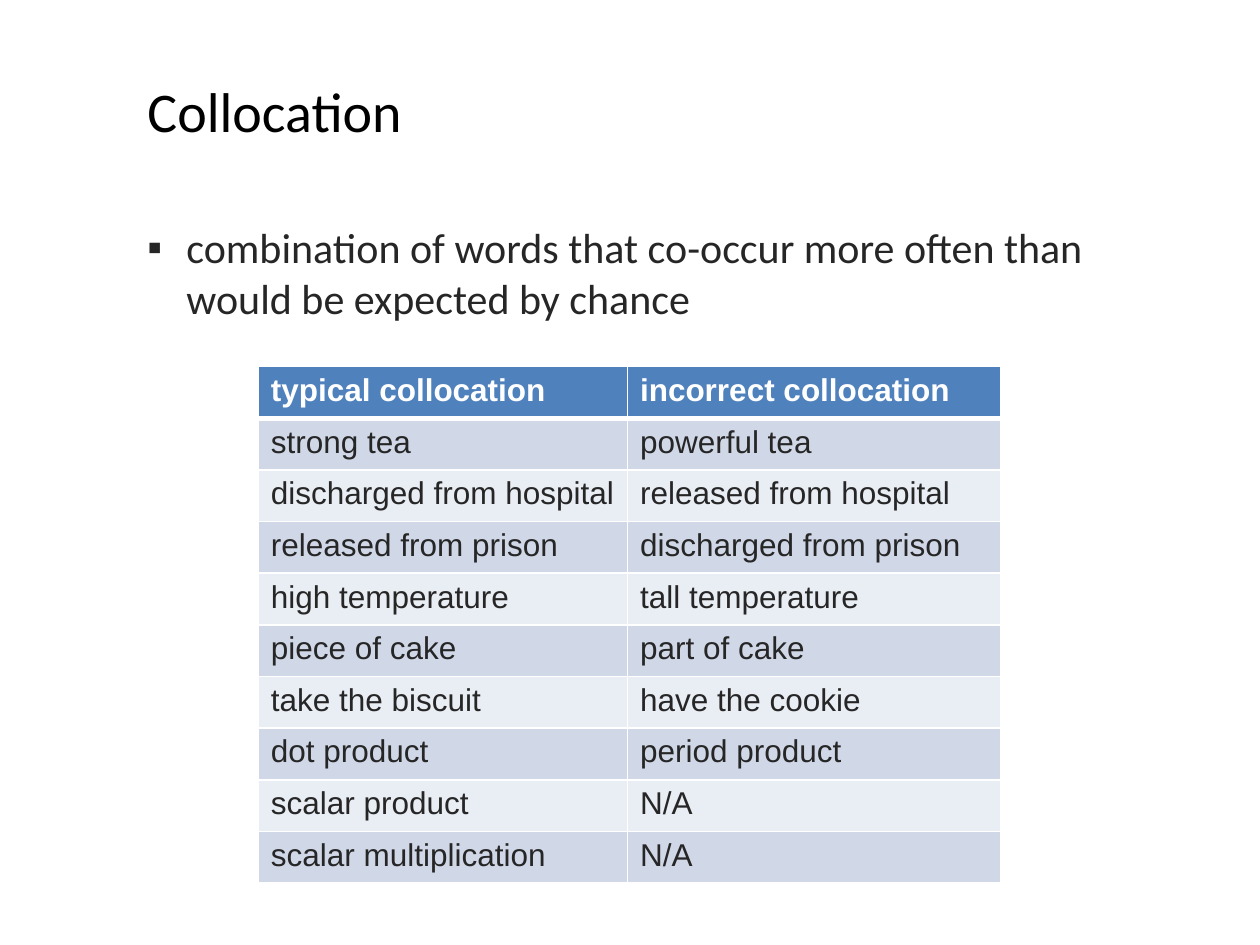
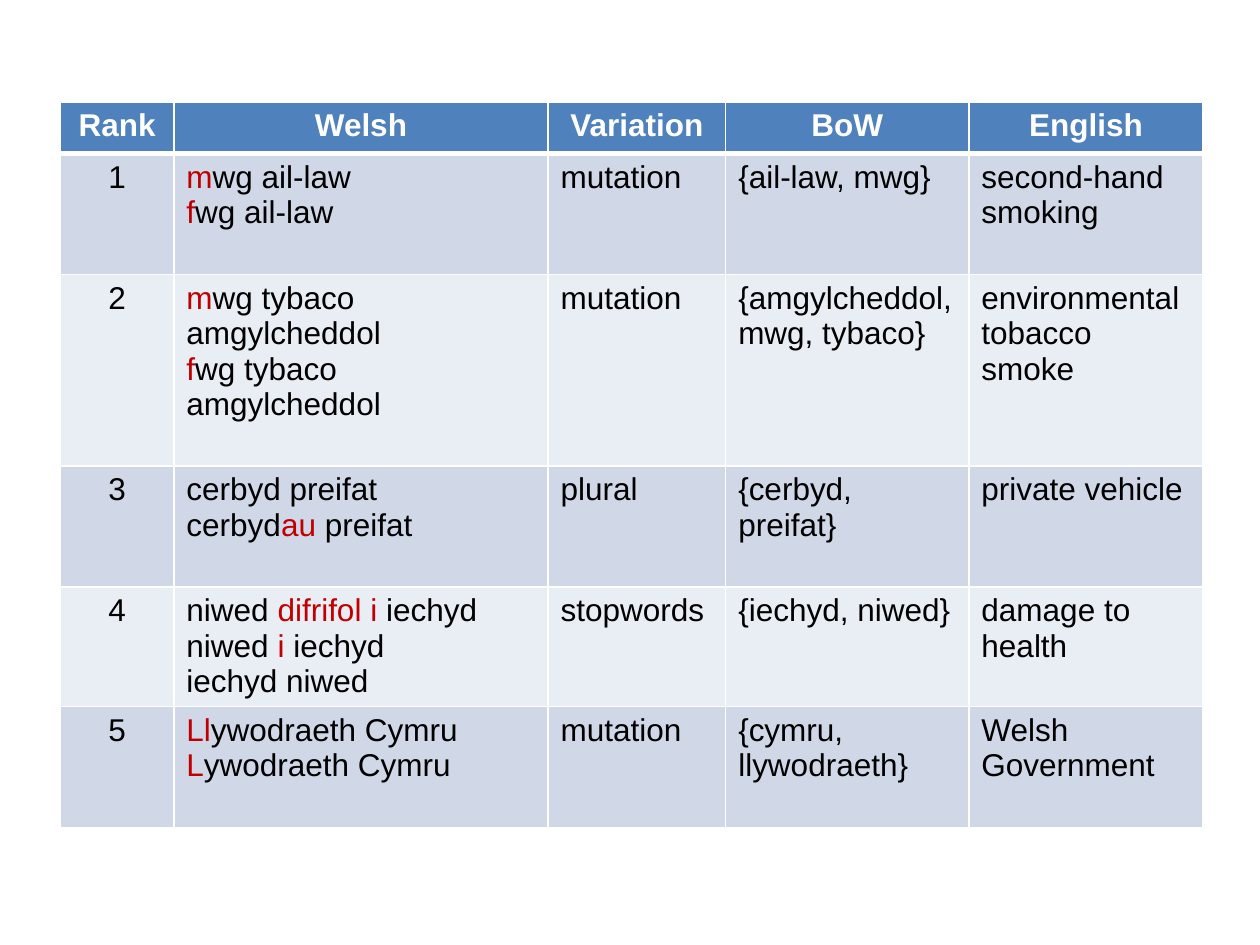
from dataclasses import dataclass

from lxml import etree
from pptx import Presentation
from pptx.dml.color import RGBColor
from pptx.enum.text import MSO_ANCHOR, PP_ALIGN
from pptx.oxml.ns import qn
from pptx.util import Inches, Pt

LEFT, CENTER = PP_ALIGN.LEFT, PP_ALIGN.CENTER
MIDDLE = MSO_ANCHOR.MIDDLE
TITLE_AND_CONTENT, BLANK = 1, 6


@dataclass(frozen=True)
class Theme:
    head_font: str = "Calibri"
    table_font: str = "Arial"
    title_size: int = 32
    body_size: int = 24
    table_size: int = 18
    black: str = "000000"
    dark: str = "262626"
    white: str = "FFFFFF"
    accent: str = "C00000"
    header: str = "4F81BD"
    bands: tuple = ("D0D8E8", "E9EDF4")
    rule: int = 1
    header_rule: int = 3


THEME = Theme()
ROW_HEIGHT = 0.41

COLLOCATIONS = [
    ("typical collocation", "incorrect collocation"),
    ("strong tea", "powerful tea"),
    ("discharged from hospital", "released from hospital"),
    ("released from prison", "discharged from prison"),
    ("high temperature", "tall temperature"),
    ("piece of cake", "part of cake"),
    ("take the biscuit", "have the cookie"),
    ("dot product", "period product"),
    ("scalar product", "N/A"),
    ("scalar multiplication", "N/A"),
]

# Asterisks enclose the letters that vary between the forms of a term
WELSH_TERMS = [
    ("Rank", "Welsh", "Variation", "BoW", "English"),
    ("1", "*m*wg ail-law\n*f*wg ail-law", "mutation",
     "{ail-law, mwg}", "second-hand smoking"),
    ("2", "*m*wg tybaco amgylcheddol\n*f*wg tybaco amgylcheddol", "mutation",
     "{amgylcheddol, mwg, tybaco}", "environmental tobacco smoke"),
    ("3", "cerbyd preifat\ncerbyd*au *preifat", "plural",
     "{cerbyd, preifat}", "private vehicle"),
    ("4", "niwed *difrifol i *iechyd\nniwed *i *iechyd\niechyd niwed", "stopwords",
     "{iechyd, niwed}", "damage to health"),
    ("5", "*Ll*ywodraeth Cymru\n*L*ywodraeth Cymru", "mutation",
     "{cymru, llywodraeth}", "Welsh Government"),
]


def write(tf, text, *, font, size, color, bold=False, align=LEFT):
    """Fill a text frame: one paragraph a line, *marked* parts in the accent."""
    for i, line in enumerate(text.split("\n")):
        p = tf.paragraphs[0] if i == 0 else tf.add_paragraph()
        p.alignment = align
        for j, part in enumerate(line.split("*")):
            if not part:
                continue
            r = p.add_run()
            r.text = part
            r.font.name, r.font.size, r.font.bold = font, Pt(size), bold
            r.font.color.rgb = RGBColor.from_string(THEME.accent if j % 2 else color)


def place(sp, box):
    sp.left, sp.top, sp.width, sp.height = map(Inches, box)


def set_bullet(p, char, indent):
    pPr = p._p.get_or_add_pPr()
    pPr.set("marL", str(Inches(indent)))
    pPr.set("indent", str(-Inches(indent)))
    etree.SubElement(pPr, qn("a:buFont"), typeface="Arial")
    etree.SubElement(pPr, qn("a:buChar"), char=char)


def set_borders(cell, top, bottom):
    tcPr = cell._tc.get_or_add_tcPr()
    widths = {"L": THEME.rule, "R": THEME.rule, "T": top, "B": bottom}
    for side, width in widths.items():
        ln = etree.SubElement(tcPr, qn(f"a:ln{side}"), w=str(Pt(width)))
        fill = etree.SubElement(ln, qn("a:solidFill"))
        etree.SubElement(fill, qn("a:srgbClr"), val=THEME.white)


def add_title(slide, text, box):
    sp = slide.shapes.title
    place(sp, box)
    sp.text_frame.vertical_anchor = MIDDLE
    write(sp.text_frame, text, font=THEME.head_font, size=THEME.title_size,
          color=THEME.black)


def add_body(slide, text, box):
    sp = slide.placeholders[1]
    place(sp, box)
    write(sp.text_frame, text, font=THEME.head_font, size=THEME.body_size,
          color=THEME.dark)
    for p in sp.text_frame.paragraphs:
        p.space_before = Pt(16)
        set_bullet(p, "▪", 0.31)


def add_banded_table(slide, rows, left, top, widths, heights, color,
                     header_align=LEFT, centered=()):
    box = map(Inches, (left, top, sum(widths), sum(heights)))
    table = slide.shapes.add_table(len(rows), len(widths), *box).table
    for col, width in zip(table.columns, widths):
        col.width = Inches(width)
    for i, (row, height, texts) in enumerate(zip(table.rows, heights, rows)):
        row.height = Inches(height)
        is_header = i == 0
        for j, (cell, text) in enumerate(zip(row.cells, texts)):
            set_borders(cell,
                        top=THEME.header_rule if i == 1 else THEME.rule,
                        bottom=THEME.header_rule if is_header else THEME.rule)
            fill = THEME.header if is_header else THEME.bands[(i - 1) % 2]
            cell.fill.solid()
            cell.fill.fore_color.rgb = RGBColor.from_string(fill)
            body_align = CENTER if j in centered else LEFT
            write(cell.text_frame, text, font=THEME.table_font,
                  size=THEME.table_size, bold=is_header,
                  color=THEME.white if is_header else color,
                  align=header_align if is_header else body_align)


def collocation_slide(prs):
    slide = prs.slides.add_slide(prs.slide_layouts[TITLE_AND_CONTENT])
    add_title(slide, "Collocation", (1.07, 0.41, 7.75, 0.93))
    add_body(slide, "combination of words that co-occur more often than "
             "would be expected by chance", (1.07, 1.71, 8.02, 5.49))
    add_banded_table(slide, COLLOCATIONS, 2.05, 2.91, (2.93, 2.96),
                     [ROW_HEIGHT] * len(COLLOCATIONS), THEME.dark)


def welsh_terms_slide(prs):
    slide = prs.slides.add_slide(prs.slide_layouts[BLANK])
    add_banded_table(slide, WELSH_TERMS, 0.48, 0.81,
                     (0.9, 2.97, 1.41, 1.93, 1.86),
                     (ROW_HEIGHT, 0.96, 1.52, 0.96, 0.95, 0.96),
                     THEME.black, header_align=CENTER, centered=(0,))


def main():
    prs = Presentation()
    prs.slide_width, prs.slide_height = Inches(10), Inches(7.5)
    collocation_slide(prs)
    welsh_terms_slide(prs)
    prs.save("out.pptx")


if __name__ == "__main__":
    main()
